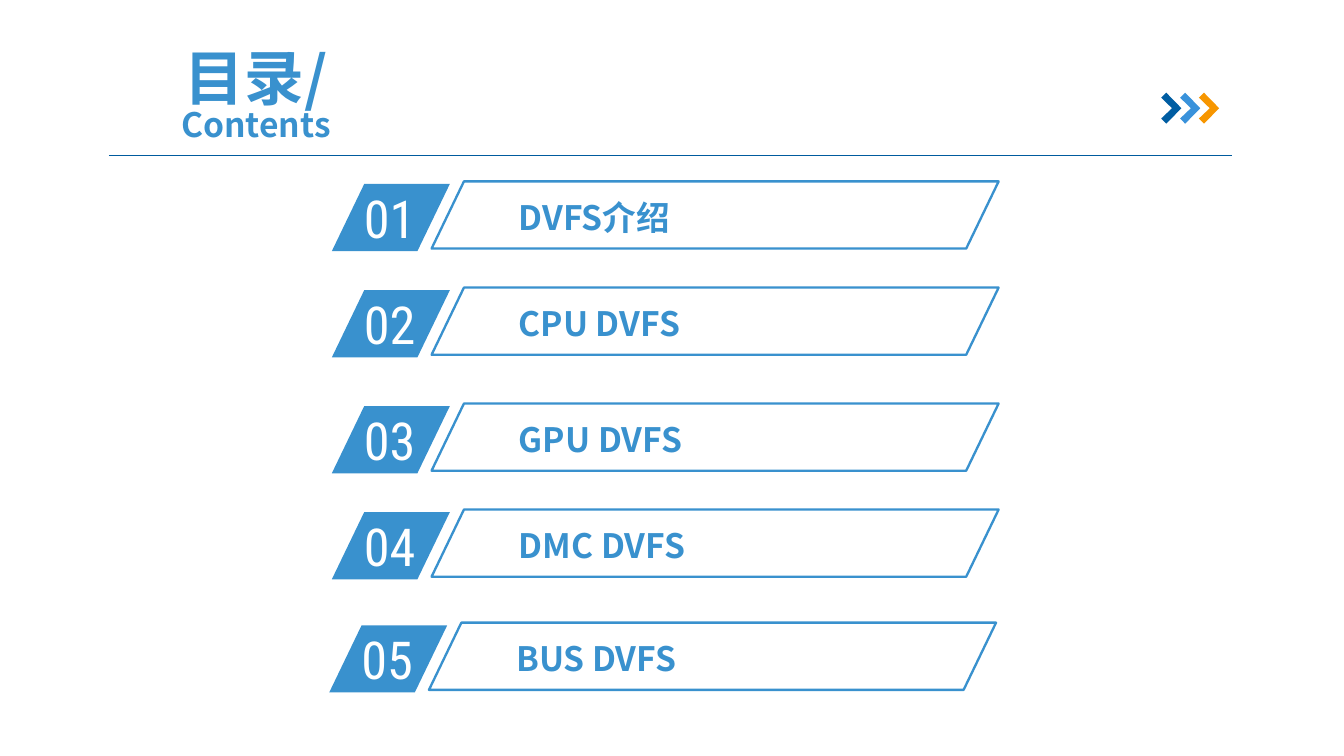
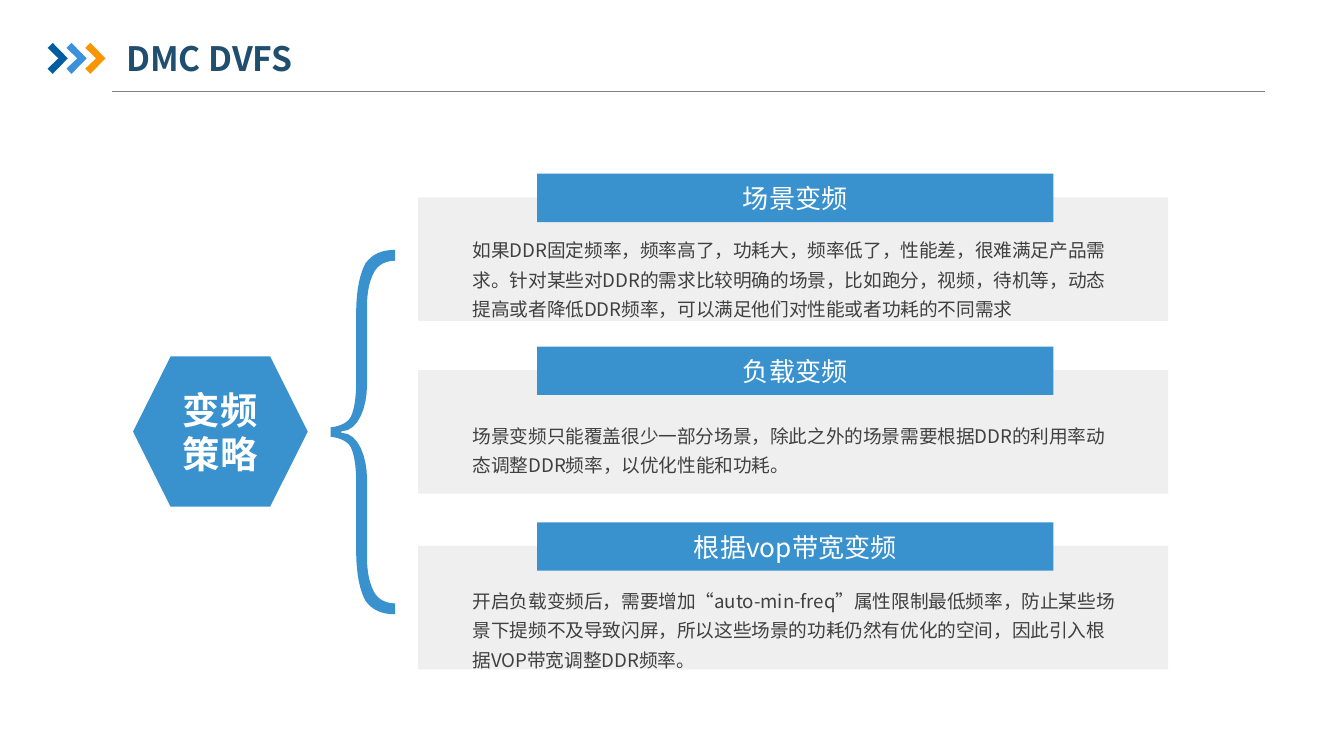
"""Build a contents slide and a DMC DVFS strategy slide."""
from dataclasses import dataclass

from lxml import etree
from pptx import Presentation
from pptx.dml.color import RGBColor
from pptx.enum.shapes import MSO_CONNECTOR, MSO_SHAPE as SHAPE
from pptx.enum.text import MSO_ANCHOR as ANCHOR, MSO_AUTO_SIZE as FIT, PP_ALIGN as ALIGN
from pptx.oxml.ns import qn
from pptx.util import Pt


@dataclass(frozen=True)
class Theme:
    blue: str = "3991CE"
    navy: str = "1F4E6F"
    white: str = "FFFFFF"
    panel: str = "EFEFEF"
    ink: str = "404040"
    chevrons: tuple = ("005DA2", "3992DB", "F79600")
    font: str = "Noto Sans CJK SC"
    number_font: str = "Roboto Condensed"
    hero: int = 32
    number: int = 28
    hub: int = 20
    heading: int = 18
    label: int = 14
    body: int = 10


T = Theme()


def style(sp, fill=None, line=None):
    sp.shadow.inherit = False
    if fill:
        sp.fill.solid()
        sp.fill.fore_color.rgb = RGBColor.from_string(fill)
    else:
        sp.fill.background()
    if line:
        sp.line.color.rgb = RGBColor.from_string(line)
        sp.line.width = Pt(1.25)
    else:
        sp.line.fill.background()


def write(sp, text, size, color, bold=False, align=ALIGN.LEFT, anchor=ANCHOR.TOP,
          inset=(5.76, 2.88), font=T.font, fit=FIT.NONE):
    tf = sp.text_frame
    tf.text = text
    tf.word_wrap, tf.auto_size, tf.vertical_anchor = True, fit, anchor
    tf.margin_left = tf.margin_right = Pt(inset[0])
    tf.margin_top = tf.margin_bottom = Pt(inset[1])
    p = tf.paragraphs[0]
    p.alignment = align
    p.font.size, p.font.bold, p.font.name = Pt(size), bold, font
    p.font.color.rgb = RGBColor.from_string(color)
    latin = p._p.pPr.find(qn("a:defRPr")).find(qn("a:latin"))
    latin.addnext(etree.Element(qn("a:ea"), typeface=font))
    return p


prs = Presentation()
prs.slide_width, prs.slide_height = Pt(720), Pt(405)
contents, strategy = [prs.slides.add_slide(prs.slide_layouts[5]) for _ in range(2)]

CHEVRON = [(0, 2.7), (2.7, 0), (10.8, 8.3), (2.7, 16.6), (0, 13.8), (5.8, 8.3)]
headers = [
    (contents, (48.2, 33.8, 177.8, 38.9), (58.3, 660.2, 83.3), "005B9E", (622.1, 49.7)),
    (strategy, (67.7, 15.8, 167.8, 30.2), (59.8, 677.5, 49.2), "808080", (25.5, 23)),
]
for s, title_box, (x1, x2, y), rule_color, (left, top) in headers:
    title = s.shapes.title
    title.left, title.top, title.width, title.height = map(Pt, title_box)
    rule = s.shapes.add_connector(MSO_CONNECTOR.STRAIGHT, Pt(x1), Pt(y), Pt(x2), Pt(y))
    rule.line.color.rgb = RGBColor.from_string(rule_color)
    rule.line.width = Pt(0.75)
    etree.SubElement(rule._element.spPr, qn("a:effectLst"))
    for i, color in enumerate(T.chevrons):
        pts = [(Pt(left + 10.1 * i + dx), Pt(top + dy)) for dx, dy in CHEVRON]
        outline = s.shapes.build_freeform(*pts[0], scale=1.0)
        outline.add_line_segments(pts[1:], close=True)
        style(outline.convert_to_shape(), color)

p = write(contents.shapes.title, "目录/", T.hero, T.blue, True, ALIGN.CENTER,
          ANCHOR.MIDDLE, (7.2, 3.6))
p.line_spacing, p.space_before = 0.8, Pt(6.4)
p.add_line_break()
r = p.add_run()
r.text = "Contents"
r.font.size = Pt(T.heading)
write(strategy.shapes.title, "DMC DVFS", T.heading, T.navy, True,
      anchor=ANCHOR.MIDDLE, inset=(0, 3.6))

chapters = [
    ("DVFS介绍", 177.8, 98.6),
    ("CPU DVFS", 177.8, 155.5),
    ("GPU DVFS", 177.8, 217.6),
    ("DMC DVFS", 177.8, 274.4),
    ("BUS DVFS", 176.4, 335),
]
for n, (chapter, x, y) in enumerate(chapters, 1):
    shapes = contents.shapes
    for dx, dy, width, fill, line in [(0, 0, 63.2, T.blue, None),
                                      (53.4, -1.4, 303.8, None, T.blue)]:
        sp = shapes.add_shape(SHAPE.PARALLELOGRAM, Pt(x + dx), Pt(y + dy), Pt(width), Pt(36))
        sp.adjustments[0] = 0.482
        style(sp, fill, line)
    number = shapes.add_textbox(Pt(x + 10.1), Pt(y - 2.5), Pt(60.5), Pt(41))
    write(number, f"{n:02}", T.number, T.white, inset=(7.2, 3.6), font=T.number_font,
          fit=FIT.SHAPE_TO_FIT_TEXT)
    name = shapes.add_textbox(Pt(x + 95.1), Pt(y + 4), Pt(222.5), Pt(27.4))
    write(name, chapter, T.heading, T.blue, True, inset=(5.04, 2.88),
          fit=FIT.SHAPE_TO_FIT_TEXT)

policies = [
    ("场景变频", 105.7, 121.7, 52.6,
     "如果DDR固定频率，频率高了，功耗大，频率低了，性能差，很难满足产品需求。"
     "针对某些对DDR的需求比较明确的场景，比如跑分，视频，待机等，"
     "动态提高或者降低DDR频率，可以满足他们对性能或者功耗的不同需求"),
    ("负载变频", 198.3, 221, 36.7,
     "场景变频只能覆盖很少一部分场景，除此之外的场景需要根据DDR的利用率"
     "动态调整DDR频率，以优化性能和功耗。"),
    ("根据vop带宽变频", 292.5, 309.6, 52.6,
     "开启负载变频后，需要增加“auto-min-freq”属性限制最低频率，"
     "防止某些场景下提频不及导致闪屏，所以这些场景的功耗仍然有优化的空间，"
     "因此引入根据VOP带宽调整DDR频率。"),
]
shapes = strategy.shapes
for label, y, text_y, text_height, text in policies:
    panel = shapes.add_shape(SHAPE.RECTANGLE, Pt(224), Pt(y), Pt(401.8), Pt(66.2))
    style(panel, T.panel)
    tab = shapes.add_shape(SHAPE.RECTANGLE, Pt(287.8), Pt(y - 12.6), Pt(276.6), Pt(25.9))
    style(tab, T.blue)
    write(tab, label, T.label, T.white, align=ALIGN.CENTER, anchor=ANCHOR.MIDDLE)
    body = shapes.add_textbox(Pt(247.5), Pt(text_y), Pt(357.1), Pt(text_height))
    p = write(body, text, T.body, T.ink, fit=FIT.SHAPE_TO_FIT_TEXT)
    p.line_spacing = 1.3

hub = shapes.add_shape(SHAPE.HEXAGON, Pt(71.3), Pt(190.9), Pt(93.6), Pt(80.6))
style(hub, T.blue)
write(hub, "变频策略", T.hub, T.white, True, ALIGN.CENTER, ANCHOR.MIDDLE)

BRACE_MIDDLE, STEPS = 231.5, 8
BRACE_HALF = [
    [(182.9, 3.2), (187.2, 5.4), (188.6, 9.7)],
    [(190.1, 14), (190.8, 19.8), (190.8, 27)],
    [(190.8, 63.7)],
    [(190.8, 76.7), (193, 85.3), (195.8, 90.4)],
    [(199.4, 95.4), (204.5, 97.6), (211.7, 97.6)],
    [(211.7, 91.8)],
    [(206.6, 91.8), (202.3, 89.6), (200.2, 85.3)],
    [(198, 81), (196.6, 75.2), (196.6, 67.3)],
    [(196.6, 24.8)],
    [(196.6, 14), (192.2, 0.4), (182.9, 0.4)],
]
half = [(177.1, 2.5)]
for segment in BRACE_HALF:
    if len(segment) == 1:
        half += segment
        continue
    curve = [half[-1], *segment]
    for k in range(1, STEPS + 1):
        t = k / STEPS
        weights = ((1 - t) ** 3, 3 * t * (1 - t) ** 2, 3 * t * t * (1 - t), t ** 3)
        half.append(tuple(sum(w * c[axis] for w, c in zip(weights, curve)) for axis in (0, 1)))
brace = half + [(x, -dy) for x, dy in reversed(half)]
pts = [(Pt(x), Pt(BRACE_MIDDLE + dy)) for x, dy in brace]
outline = shapes.build_freeform(*pts[0], scale=1.0)
outline.add_line_segments(pts[1:], close=True)
style(outline.convert_to_shape(), T.blue)

prs.save("out.pptx")
